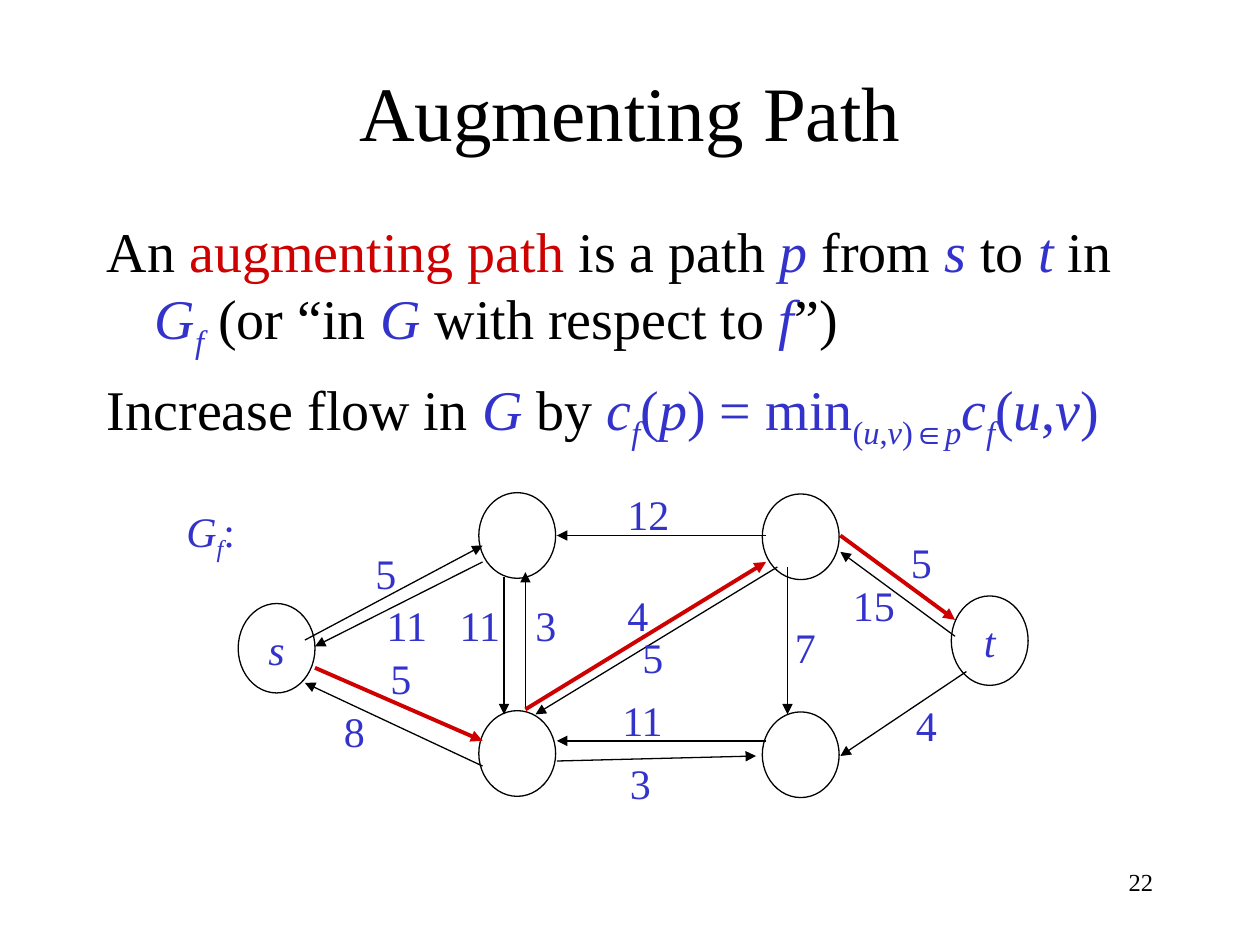
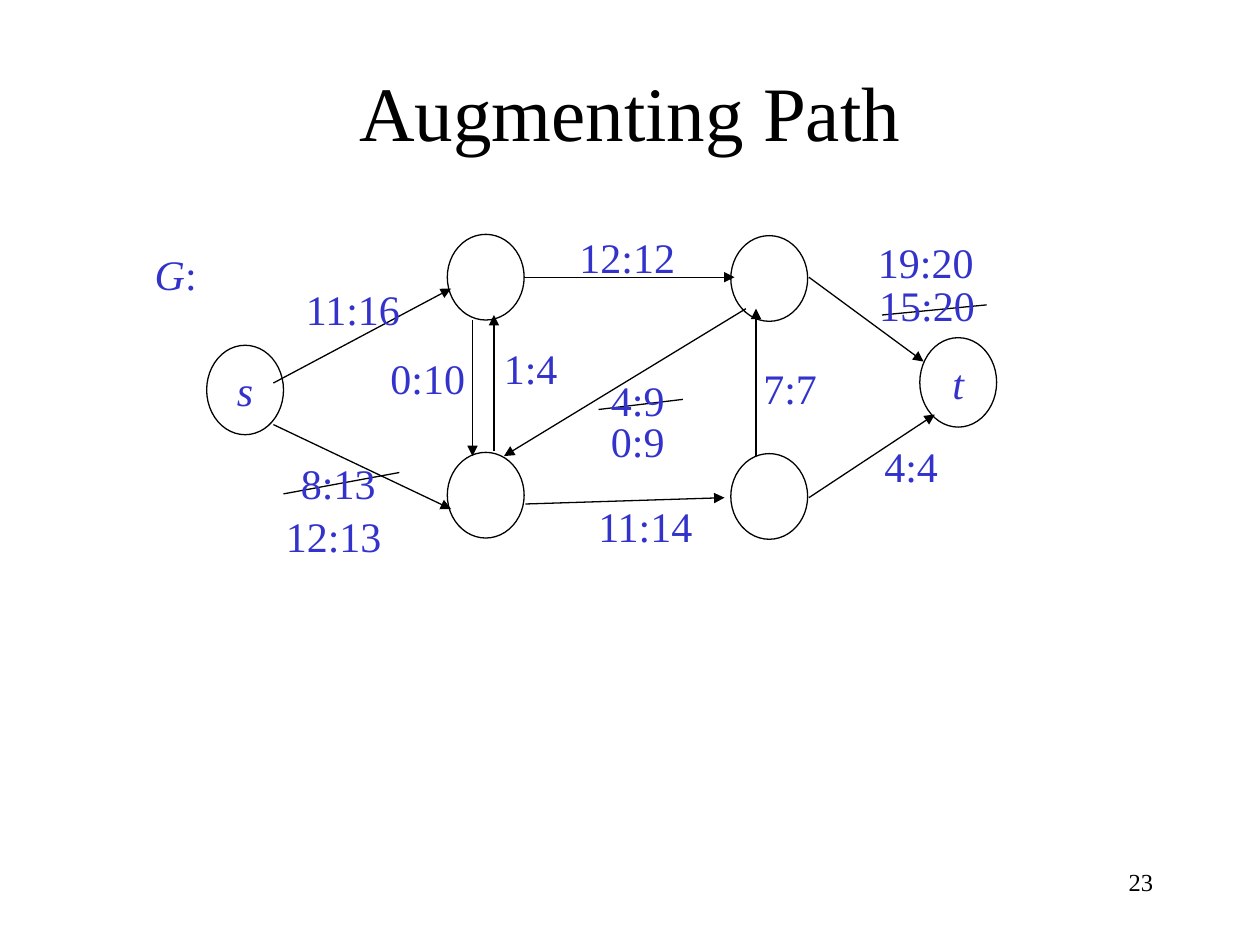
"""Build two slides on augmenting paths in a flow network."""
from lxml import etree
from pptx import Presentation
from pptx import util as u
from pptx.dml.color import RGBColor
from pptx.enum import shapes, text
from pptx.oxml import ns

BLACK, BLUE, RED = "000000", "3333CC", "CE0000"
FONT = "Times New Roman"
NODE_WIDTH = 0.61
NODES = [
    (1.89, 4.79, 0.71, "s"),
    (3.8, 3.91, 0.68, ""),
    (3.8, 5.64, 0.68, ""),
    (6.05, 3.92, 0.68, ""),
    (6.05, 5.65, 0.68, ""),
    (7.55, 4.73, 0.71, "t"),
]


def color(hex_value):
    """Turn a hex string into a colour."""
    return RGBColor.from_string(hex_value)


def add_text(slide, left, top, width, height, paragraphs, size, wrap=False):
    """Add a text box; style marks are b blue, r red, i italic, _ subscript, a Arial."""
    box = slide.shapes.add_textbox(
        u.Inches(left), u.Inches(top), u.Inches(width), u.Inches(height))
    frame = box.text_frame
    frame.word_wrap = wrap
    if not wrap:
        frame.auto_size = text.MSO_AUTO_SIZE.SHAPE_TO_FIT_TEXT
    for index, pieces in enumerate(paragraphs):
        paragraph = frame.add_paragraph() if index else frame.paragraphs[0]
        paragraph.font.size = u.Pt(size)
        for words, style in pieces:
            run = paragraph.add_run()
            run.text = words
            run.font.name = "Arial" if "a" in style else FONT
            run.font.italic = "i" in style
            run.font.color.rgb = color(
                BLUE if "b" in style else RED if "r" in style else BLACK)
            if "_" in style:
                run.font._element.set("baseline", "-25000")
    return frame


definition = [
    ("An ", ""), ("augmenting path", "r"), (" is a path ", ""), ("p", "bi"),
    (" from ", ""), ("s", "bi"), (" to ", ""), ("t", "bi"), (" in ", ""),
    ("G", "bi"), ("f", "bi_"), (" (or “in ", ""), ("G", "bi"),
    (" with respect to ", ""), ("f", "bi"), ("”)", ""),
]
increase = [
    ("Increase flow in ", ""), ("G", "bi"), (" by ", ""), ("c", "bi"),
    ("f", "bi_"), ("(", "b"), ("p", "bi"), (") = min", "b"), ("(", "b_"),
    ("u", "bi_"), (",", "b_"), ("v", "bi_"), (")", "b_"), ("∈", "ba_"),
    ("p", "bi_"), ("c", "bi"), ("f", "bi_"), ("(", "b"), ("u", "bi"),
    (",", "b"), ("v", "bi"), (")", "b"),
]

residual = {
    "number": "22",
    "offset": (0, 0),
    "statements": [definition, increase],
    "name": (1.38, 3.96, 0.62, [("G", "bi"), ("f", "bi_"), (":", "b")]),
    "edges": [
        (2.42, 5.08, 3.83, 4.33), (3.83, 6.08, 2.42, 5.42),
        (4.42, 6.04, 6, 6), (7.67, 5.33, 6.67, 6),
        (6.08, 4.25, 4.42, 4.25), (4.17, 5.63, 4.17, 4.54),
        (6.17, 4.5, 4.25, 5.67), (6.25, 4.5, 6.25, 5.67),
        (4, 4.58, 4, 5.67), (6.08, 5.88, 4.42, 5.88),
        (7.58, 5.05, 6.67, 4.38), (3.83, 4.46, 2.5, 5.13),
    ],
    "path_edges": [
        (6.67, 4.25, 7.58, 4.92), (4.17, 5.63, 6.08, 4.46),
        (2.5, 5.3, 3.83, 5.88),
    ],
    "strikes": [],
    "labels": [
        (2.88, 4.3, "5"), (3.55, 4.71, "11"), (2.63, 5.55, "8"),
        (4.15, 4.71, "3"), (5, 4.96, "5"), (4.88, 3.83, "12"),
        (6.21, 4.88, "7"), (7.13, 4.21, "5"), (7.17, 5.5, "4"),
        (4.9, 5.96, "3"), (4.84, 5.46, "11"), (6.67, 4.55, "15"),
        (4.88, 4.63, "4"), (2.97, 4.71, "11"), (3, 5.13, "5"),
    ],
}
flow = {
    "number": "23",
    "offset": (-0.25, -2.05),
    "statements": [],
    "name": (1.13, 1.92, 0.53, [("G", "bi"), (":", "b")]),
    "edges": [
        (2.17, 3.04, 3.58, 2.29), (2.17, 3.37, 3.58, 4.04),
        (4.17, 4, 5.75, 3.95), (6.42, 3.95, 7.42, 3.29),
        (4.17, 2.2, 5.83, 2.2), (6.42, 2.2, 7.33, 2.87),
        (3.92, 3.58, 3.92, 2.5), (5.92, 2.45, 4, 3.62),
        (6, 3.62, 6, 2.45), (3.75, 2.54, 3.75, 3.62),
    ],
    "path_edges": [],
    "strikes": [
        (2.25, 3.92, 3.17, 3.75), (4.75, 3.25, 5.42, 3.17),
        (7, 2.5, 7.83, 2.42),
    ],
    "labels": [
        (2.33, 2.2, "11:16"), (3, 2.75, "0:10"), (2.29, 3.58, "8:13"),
        (3.9, 2.67, "1:4"), (4.75, 2.92, "4:9"), (4.5, 1.79, "12:12"),
        (5.96, 2.83, "7:7"), (6.88, 2.17, "15:20"), (6.92, 3.45, "4:4"),
        (4.65, 3.92, "11:14"), (2.17, 4, "12:13"), (4.75, 3.25, "0:9"),
        (6.87, 1.83, "19:20"),
    ],
}

presentation = Presentation()
presentation.slide_width = u.Inches(10)
presentation.slide_height = u.Inches(7.5)

for network in (residual, flow):
    slide = presentation.slides.add_slide(presentation.slide_layouts[5])
    title = slide.shapes.title
    title.left, title.top = u.Inches(0.75), u.Inches(0.25)
    title.width, title.height = u.Inches(8.5), u.Inches(1.25)
    title.text_frame.text = "Augmenting Path"
    title.text_frame.vertical_anchor = text.MSO_ANCHOR.MIDDLE
    paragraph = title.text_frame.paragraphs[0]
    paragraph.alignment = text.PP_ALIGN.CENTER
    paragraph.font.name = FONT
    paragraph.font.size = u.Pt(44)
    paragraph.font.color.rgb = color(BLACK)

    if network["statements"]:
        frame = add_text(slide, 0.75, 1.67, 8.5, 5, network["statements"], 32, True)
        for paragraph in frame.paragraphs:
            paragraph.space_before = u.Pt(8)
            properties = paragraph._p.get_or_add_pPr()
            properties.set("marL", str(u.Inches(0.38)))
            properties.set("indent", str(u.Inches(-0.38)))

    shift_x, shift_y = network["offset"]
    for left, top, height, name in NODES:
        node = slide.shapes.add_shape(
            shapes.MSO_SHAPE.OVAL, u.Inches(left + shift_x), u.Inches(top + shift_y),
            u.Inches(NODE_WIDTH), u.Inches(height))
        node.shadow.inherit = False
        node.fill.background()
        node.line.color.rgb = color(BLACK)
        node.line.width = u.Pt(0.75)
        if name:
            node.text_frame.text = name
            paragraph = node.text_frame.paragraphs[0]
            paragraph.alignment = text.PP_ALIGN.CENTER
            paragraph.font.name = FONT
            paragraph.font.size = u.Pt(24)
            paragraph.font.italic = True
            paragraph.font.color.rgb = color(BLUE)

    for kind, line_color, weight in (
            ("edges", BLACK, 0.75), ("path_edges", RED, 2.25), ("strikes", BLACK, 0.75)):
        for ends in network[kind]:
            line = slide.shapes.add_connector(
                shapes.MSO_CONNECTOR.STRAIGHT, *[u.Inches(end) for end in ends])
            line.line.color.rgb = color(line_color)
            line.line.width = u.Pt(weight)
            if kind != "strikes":
                etree.SubElement(
                    line.line._get_or_add_ln(), ns.qn("a:tailEnd"), type="triangle")
            etree.SubElement(line._element.spPr, ns.qn("a:effectLst"))

    for left, top, label in network["labels"]:
        colons = label.count(":")
        width = 0.2 + (len(label) - colons) / 6 + 0.09 * colons
        add_text(slide, left, top, width, 0.5, [[(label, "b")]], 24)

    left, top, width, pieces = network["name"]
    add_text(slide, left, top, width, 0.5, [pieces], 24)

    frame = add_text(slide, 7.17, 6.83, 2.08, 0.5, [[(network["number"], "")]], 14, True)
    frame.paragraphs[0].alignment = text.PP_ALIGN.RIGHT

presentation.save("out.pptx")
